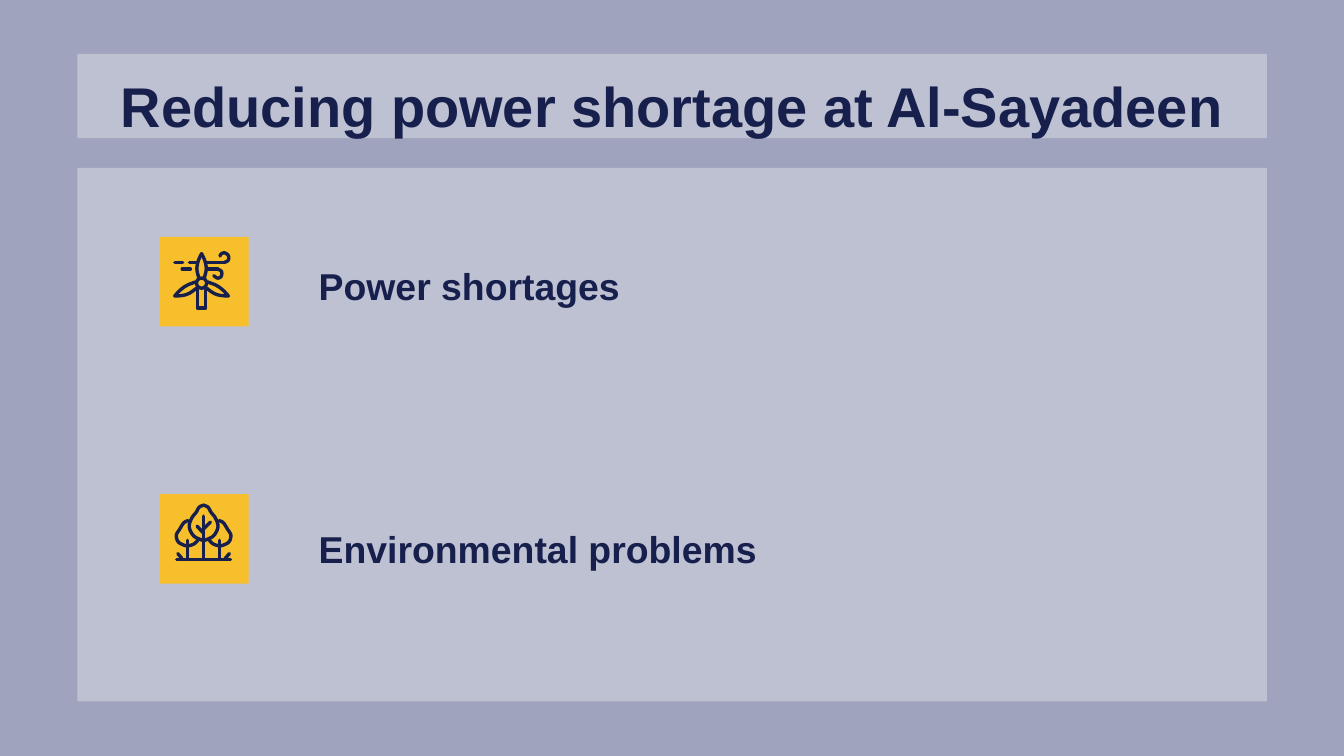
from pptx import Presentation
from pptx.dml.color import RGBColor
from pptx.enum.shapes import MSO_SHAPE
from pptx.enum.text import MSO_ANCHOR, MSO_AUTO_SIZE, PP_ALIGN
from pptx.oxml.ns import qn
from pptx.util import Pt
from lxml.etree import SubElement

BACKGROUND = RGBColor(0x9F, 0xA3, 0xBD)
WHITE = RGBColor(0xFF, 0xFF, 0xFF)
NAVY = RGBColor(0x17, 0x1F, 0x4D)
YELLOW = RGBColor(0xF8, 0xBF, 0x2D)
FONT = "Arial"
MARGIN, PANEL_W = 41.5, 637.2
TILE_W, TILE_H = 47.5, 48


def mirror(strokes, axis):
    """Return the strokes together with their reflections in x = axis."""
    return strokes + [[(2 * axis - x, y) for x, y in stroke] for stroke in strokes]


def smooth(points, steps=6):
    """Return points on a Catmull-Rom curve through the given points."""
    if len(points) < 3:
        return points
    closed = points[0] == points[-1]
    before, after = (points[-2], points[1]) if closed else (points[0], points[-1])
    knots = [before, *points, after]
    curve = [points[0]]
    for a, b, c, d in zip(knots, knots[1:], knots[2:], knots[3:]):
        for i in range(1, steps + 1):
            t = i / steps
            curve.append(tuple(
                (2 * q + (r - p) * t + (2 * p - 5 * q + 4 * r - u) * t ** 2
                 + (3 * q - p - 3 * r + u) * t ** 3) / 2
                for p, q, r, u in zip(a, b, c, d)))
    return curve


# Icon strokes, in points from the top left corner of the tile
TURBINE = mirror([
    [(22.3, 9), (24.1, 13), (24.8, 17.3), (23.8, 22)],
    [(25.6, 24.2), (30.2, 26), (33.8, 28.6), (36.7, 31.7)],
    [(36.7, 31.7), (32.5, 31.4), (28.8, 30.2), (25, 27.5)],
    [(24.4, 28), (24.4, 38.2)],
    [(22.3, 38.2), (24.4, 38.2)],
], 22.3) + [
    [(22.3, 22.1), (24.2, 22.9), (25, 24.8), (24.2, 26.7), (22.3, 27.5),
     (20.4, 26.7), (19.6, 24.8), (20.4, 22.9), (22.3, 22.1)],
    [(25.2, 13.7), (34.6, 13.7)],
    [(34.6, 13.7), (36.6, 12.5), (36.6, 10), (34.6, 8.6), (32.8, 9.2), (32.2, 10.3)],
    [(25.6, 17.3), (31, 17.3)],
    [(31, 17.3), (33, 18.6), (32.8, 21.2), (30.9, 22.1), (28.8, 20.8)],
    [(15.8, 13.7), (19.8, 13.7)],
    [(8, 13.7), (12.2, 13.7)],
    [(11.9, 17.3), (16.3, 17.3)],
]
TREES = mirror([
    [(23.4, 5.9), (25.8, 7.1), (27.4, 9.8), (29.7, 12.8), (31.1, 17.5),
     (28.6, 22.5), (23.4, 25)],
    [(31.7, 14.2), (34, 15.4), (36.2, 18.8), (38, 22), (37, 25.6), (33.8, 27.4),
     (31.6, 27.7), (28.5, 26.7), (26.4, 24.7)],
    [(31.9, 24.8), (31.9, 34.9)],
    [(37.2, 31.9), (35, 34.5)],
], 23.4) + [
    [(23.4, 11.8), (23.4, 34.9)],
    [(23.4, 21), (19.9, 17.2)],
    [(23.4, 18.7), (27, 15)],
    [(9, 34.9), (37.8, 34.9)],
]


def fill_translucent(shape):
    shape.fill.solid()
    shape.fill.fore_color.rgb = WHITE
    color = shape._element.spPr.find(qn("a:solidFill"))[0]
    SubElement(color, qn("a:alpha"), val="33000")


def add_rect(s, left, top, width, height):
    rect = s.shapes.add_shape(MSO_SHAPE.RECTANGLE, Pt(left), Pt(top), Pt(width), Pt(height))
    rect.shadow.inherit = False
    rect.line.fill.background()
    return rect


def place_text(sp, left, top, width, height, text, size):
    """Move a placeholder and give it one bold paragraph, which is returned."""
    sp.left, sp.top, sp.width, sp.height = Pt(left), Pt(top), Pt(width), Pt(height)
    tf = sp.text_frame
    tf.word_wrap = True
    tf.auto_size = MSO_AUTO_SIZE.NONE
    tf.margin_left = tf.margin_right = tf.margin_top = tf.margin_bottom = Pt(7.2)
    p = tf.paragraphs[0]
    p.space_before = Pt(0)
    r = p.add_run()
    r.text = text
    r.font.name, r.font.size, r.font.bold = FONT, Pt(size), True
    r.font.color.rgb = NAVY
    return p


def add_title(s, left, top, width, height, text):
    sp = s.shapes.title
    fill_translucent(sp)
    p = place_text(sp, left, top, width, height, text, 30)
    p.alignment = PP_ALIGN.CENTER
    tf = sp.text_frame
    tf.vertical_anchor = MSO_ANCHOR.TOP
    tf.margin_top, tf.margin_bottom = Pt(9.4), Pt(0)


def add_panel(s, left, top, width, height):
    panel = add_rect(s, left, top, width, height)
    fill_translucent(panel)
    s.shapes._spTree.insert(2, panel._element)  # behind the placeholders


def add_icon(s, left, top, strokes):
    tile = add_rect(s, left, top, TILE_W, TILE_H)
    tile.fill.solid()
    tile.fill.fore_color.rgb = YELLOW
    builder = None
    for stroke in strokes:
        start, *rest = [(Pt(x), Pt(y)) for x, y in smooth(stroke)]
        if builder is None:
            builder = s.shapes.build_freeform(*start)
        else:
            builder.move_to(*start)
        builder.add_line_segments(rest, close=False)
    icon = builder.convert_to_shape(Pt(left), Pt(top))
    icon.shadow.inherit = False
    icon.fill.background()
    icon.line.color.rgb = NAVY
    icon.line.width = Pt(1.8)
    ln = icon.line._get_or_add_ln()
    ln.set("cap", "rnd")
    SubElement(ln, qn("a:round"))


def add_topic(s, sp, left, top, text_top, text_height, text, strokes):
    add_icon(s, left, top, strokes)
    p = place_text(sp, left + 77.8, text_top, 478, text_height, text, 20)
    p.alignment = PP_ALIGN.LEFT
    p.line_spacing = 1.15
    sp.text_frame.vertical_anchor = MSO_ANCHOR.BOTTOM


def main():
    prs = Presentation()
    prs.slide_width, prs.slide_height = Pt(720), Pt(405)
    s = prs.slides.add_slide(prs.slide_layouts[4])
    s.background.fill.solid()
    s.background.fill.fore_color.rgb = BACKGROUND
    bodies = {sp.placeholder_format.idx: sp for sp in s.placeholders}
    for idx in (2, 4):
        bodies[idx]._element.getparent().remove(bodies[idx]._element)

    add_panel(s, MARGIN, 90, PANEL_W, 285.8)
    add_title(s, MARGIN, 28.8, PANEL_W, 45.2, "Reducing power shortage at Al-Sayadeen")
    add_topic(s, bodies[1], 85.7, 126.9, 130.3, 41.8, "Power shortages", TURBINE)
    add_topic(s, bodies[3], 85.7, 264.7, 272.9, 40.3, "Environmental problems", TREES)
    prs.save("out.pptx")


if __name__ == "__main__":
    main()
